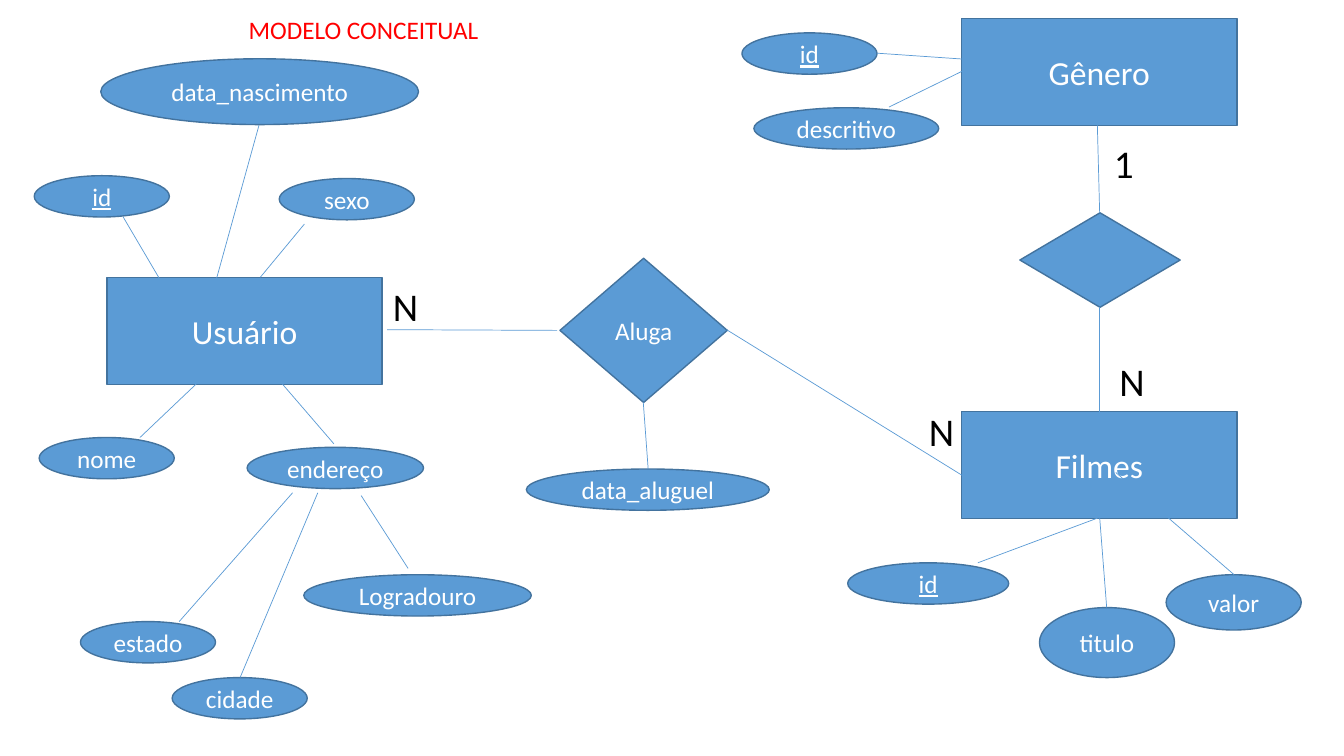
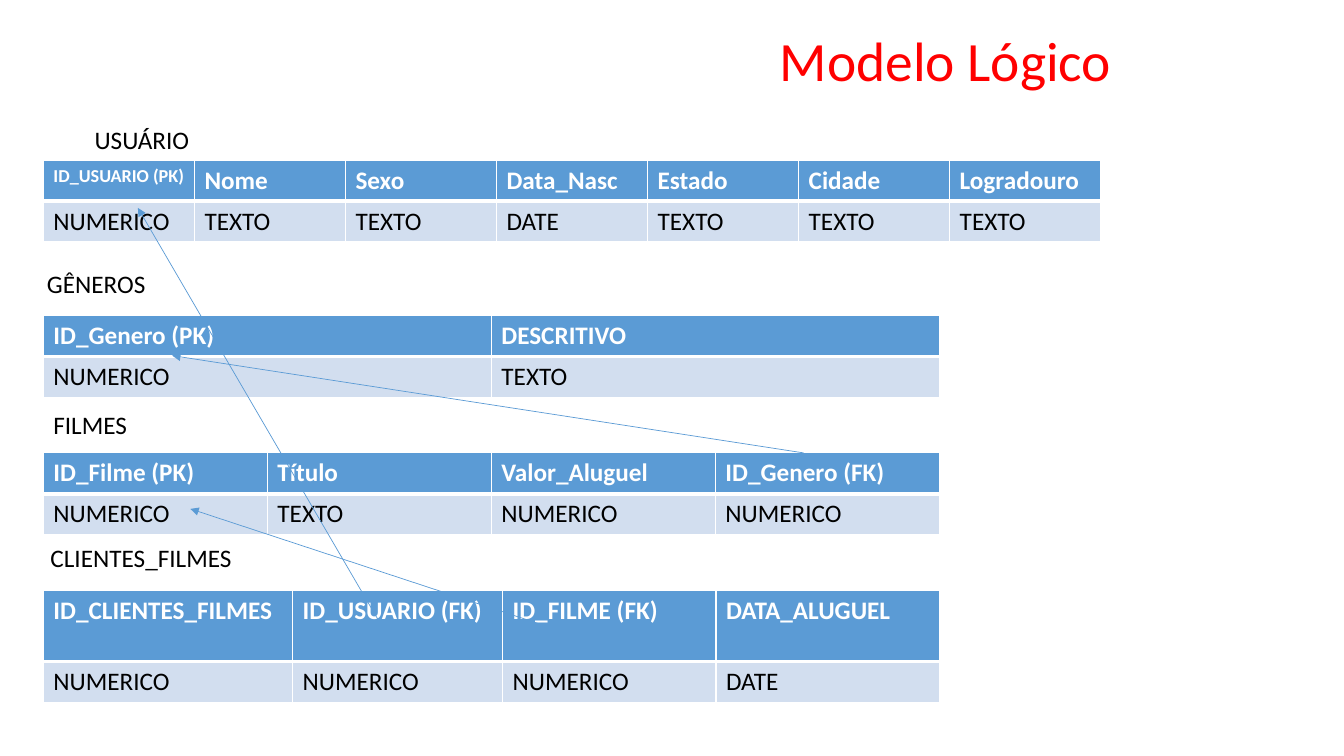
from lxml import etree
from pptx import Presentation
from pptx.dml.color import RGBColor
from pptx.enum import shapes, text
from pptx.oxml import ns
from pptx.util import Pt

COLORS = {
    "blue": "5B9BD5",
    "outline": "43739E",
    "pale": "D2DEEF",
    "white": "FFFFFF",
    "black": "000000",
    "red": "FF0000",
}
FONT = "Calibri"
ENTITY_SIZE = (196.5, 76.5)
ATTRIBUTE_SIZE = (96.5, 29.5)
ROW_HEIGHT = 29.2
TABLE_LEFT = 31

ENTITIES = [("Usuário", 76.5, 198), ("Filmes", 687, 294), ("Gênero", 687, 13)]
RELATIONS = [("Aluga", 400, 184.5, 119.5, 103), ("", 728.5, 152, 114.5, 67.5)]

# Name, left, top and, where it differs from ATTRIBUTE_SIZE, width and height
ATTRIBUTES = [
    ("nome", 28, 312.5),
    ("id", 24.5, 125.5),
    ("sexo", 199.5, 127.5),
    ("data_nascimento", 72, 42, 227, 47),
    ("endereço", 176.5, 319.5, 126),
    ("cidade", 123, 484),
    ("estado", 57.5, 444),
    ("Logradouro", 217, 410.5, 162.5),
    ("data_aluguel", 376, 335, 173.5),
    ("id", 605.5, 402, 115),
    ("titulo", 742.5, 434, 96.5, 50),
    ("valor", 833, 410.5, 96.5, 39.5),
    ("id", 530, 23.5),
    ("descritivo", 538.5, 77, 132),
]
LINKS = [
    (186, 198, 217.5, 160),
    (154, 201.5, 185, 89.5),
    (128, 223, 88, 155),
    (141, 273.5, 100, 312.5),
    (198, 270, 238.5, 317),
    (209, 352, 128, 444),
    (258, 354, 291.5, 406),
    (227, 352, 171.5, 484),
    (276.5, 235.5, 398, 236),
    (519, 235.5, 698.5, 346.5),
    (785.5, 369.5, 698.5, 402),
    (785.5, 369.5, 790.5, 434),
    (797, 337.5, 881.5, 410.5),
    (785.5, 294, 785.5, 219.5),
    (785.5, 152, 783.5, 76.5),
    (626.5, 38, 714, 44),
    (635, 76.5, 687, 51),
    (459.5, 287.5, 463, 335),
]
CARDINALITIES = [("N", 273.5, 198), ("N", 656.5, 287.5), ("N", 792.5, 252), ("1", 788.5, 96)]

# Caption with its box, table top, column widths, header height, field names, field types
TABLES = [
    (("USUÁRIO", 60.5, 85, 83), 114.5, [107.9] * 7, ROW_HEIGHT,
     ["ID_USUARIO (PK)", "Nome", "Sexo", "Data_Nasc", "Estado", "Cidade", "Logradouro"],
     ["NUMERICO", "TEXTO", "TEXTO", "DATE", "TEXTO", "TEXTO", "TEXTO"]),
    (("GÊNEROS", 26.5, 188, 85.5), 225.5, [320] * 2, ROW_HEIGHT,
     ["ID_Genero (PK)", "DESCRITIVO"],
     ["NUMERICO", "TEXTO"]),
    (("FILMES", 31, 289, 67.5), 323.5, [160] * 4, ROW_HEIGHT,
     ["ID_Filme (PK)", "Título", "Valor_Aluguel", "ID_Genero (FK)"],
     ["NUMERICO", "TEXTO", "NUMERICO", "NUMERICO"]),
    (("CLIENTES_FILMES", 29, 384, 144.5), 422, [178, 150, 152.5, 159.5], 50.5,
     ["ID_CLIENTES_FILMES", "ID_USUARIO (FK)", "ID_FILME (FK)", "DATA_ALUGUEL"],
     ["NUMERICO", "NUMERICO", "NUMERICO", "DATE"]),
]
KEY_ARROWS = [
    (574, 323.5, 123, 254),
    (273.5, 448.5, 98.5, 148.5),
    (433.5, 461.5, 136, 363.5),
]


def rgb(color):
    return RGBColor.from_string(COLORS[color])


def write(frame, content, size, color, bold=False, underline=False):
    frame.text = content
    for run in frame.paragraphs[0].runs:
        font = run.font
        font.name, font.size, font.bold = FONT, Pt(size), bold
        font.color.rgb = rgb(color)
        if underline:
            font.underline = True


def add_node(slide, kind, name, box, size=18):
    node = slide.shapes.add_shape(kind, *map(Pt, box))
    node.shadow.inherit = False
    node.fill.solid()
    node.fill.fore_color.rgb = rgb("blue")
    node.line.color.rgb = rgb("outline")
    node.line.width = Pt(1)
    if name:
        frame = node.text_frame
        write(frame, name, size, "white", underline=name == "id")
        frame.vertical_anchor = text.MSO_ANCHOR.MIDDLE
        frame.paragraphs[0].alignment = text.PP_ALIGN.CENTER


def add_label(slide, content, box, size=18, color="black", wrap=True):
    frame = slide.shapes.add_textbox(*map(Pt, box)).text_frame
    frame.word_wrap = wrap
    write(frame, content, size, color)
    return frame


def add_link(slide, ends, arrow=False):
    link = slide.shapes.add_connector(shapes.MSO_CONNECTOR.STRAIGHT, *map(Pt, ends))
    link.line.color.rgb = rgb("blue")
    link.line.width = Pt(0.5)
    if arrow:
        etree.SubElement(link.line._get_or_add_ln(), ns.qn("a:tailEnd"), type="triangle")
    etree.SubElement(link._element.spPr, ns.qn("a:effectLst"))


def add_borders(cell, widths):
    """Draw white borders; widths maps the edges L, R, T, B to points."""
    properties = cell._tc.get_or_add_tcPr()
    for position, (edge, width) in enumerate(widths.items()):
        border = etree.Element(ns.qn(f"a:ln{edge}"), w=str(Pt(width)))
        fill = etree.SubElement(border, ns.qn("a:solidFill"))
        etree.SubElement(fill, ns.qn("a:srgbClr"), val=COLORS["white"])
        properties.insert(position, border)


def fill_cell(cell, content, is_header):
    size = 13 if content == "ID_USUARIO (PK)" else 18
    write(cell.text_frame, content, size, "white" if is_header else "black", bold=is_header)
    cell.fill.solid()
    cell.fill.fore_color.rgb = rgb("blue" if is_header else "pale")
    top, bottom = (1, 3) if is_header else (3, 1)
    add_borders(cell, {"L": 1, "R": 1, "T": top, "B": bottom})


def add_entity_table(slide, top, widths, header_height, names, types):
    heights = [header_height, ROW_HEIGHT]
    box = (TABLE_LEFT, top, sum(widths), sum(heights))
    table = slide.shapes.add_table(2, len(names), *map(Pt, box)).table
    for column, width in zip(table.columns, widths):
        column.width = Pt(width)
    for row, height, values in zip(table.rows, heights, (names, types)):
        row.height = Pt(height)
        for cell, value in zip(row.cells, values):
            fill_cell(cell, value, is_header=values is names)


def build_conceptual_model(slide):
    kinds = shapes.MSO_SHAPE
    for name, left, top in ENTITIES:
        add_node(slide, kinds.RECTANGLE, name, (left, top, *ENTITY_SIZE), 24)
    for name, *box in RELATIONS:
        add_node(slide, kinds.FLOWCHART_DECISION, name, box)
    for name, left, top, *size in ATTRIBUTES:
        size += ATTRIBUTE_SIZE[len(size):]
        add_node(slide, kinds.OVAL, name, (left, top, *size))
    for ends in LINKS:
        add_link(slide, ends)
    for mark, left, top in CARDINALITIES:
        add_label(slide, mark, (left, top, 28, 41), 28)
    add_label(slide, "MODELO CONCEITUAL", (170.5, 7, 188.5, 29), color="red")


def build_logical_model(slide):
    title = add_label(slide, "Modelo Lógico", (550, 21, 312, 49.5), 39.6, "red")
    title.vertical_anchor = text.MSO_ANCHOR.MIDDLE
    title.paragraphs[0].line_spacing = 0.9
    for (caption, *box), *table in TABLES:
        add_label(slide, caption, (*box, 29), wrap=False)
        add_entity_table(slide, *table)
    for ends in KEY_ARROWS:
        add_link(slide, ends, arrow=True)


def main():
    deck = Presentation()
    deck.slide_width, deck.slide_height = Pt(960), Pt(540)
    blank = deck.slide_layouts[6]
    for build in (build_conceptual_model, build_logical_model):
        build(deck.slides.add_slide(blank))
    deck.save("out.pptx")


if __name__ == "__main__":
    main()
